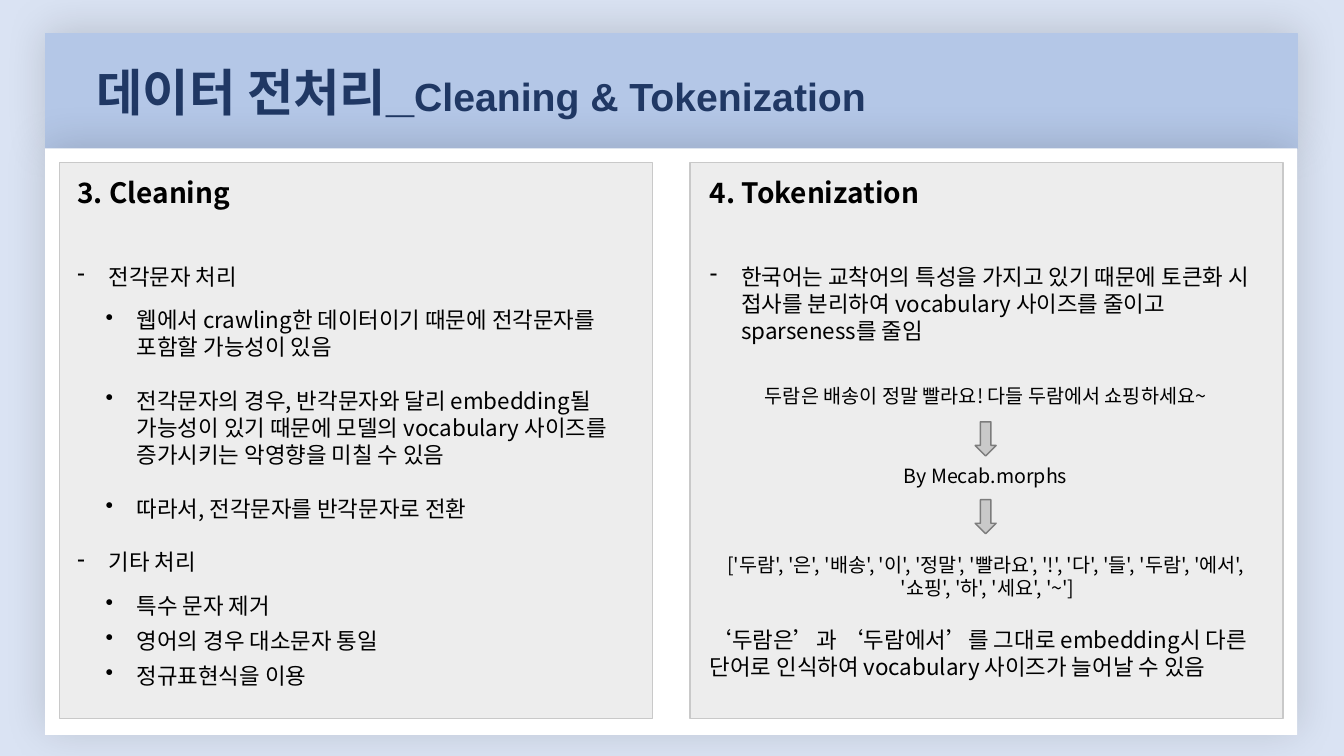
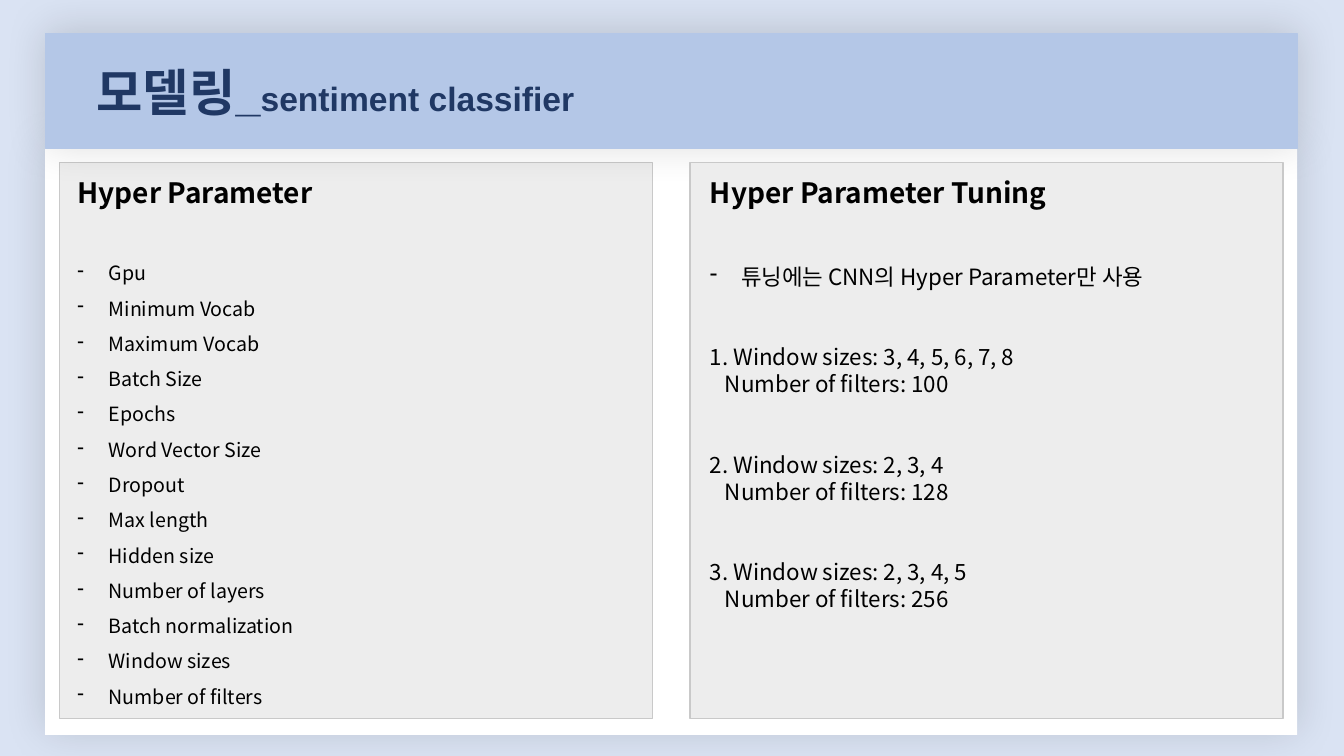
from collections import namedtuple

from lxml import etree
from pptx import Presentation
from pptx.dml.color import RGBColor
from pptx.enum import shapes, text
from pptx.oxml import ns
from pptx.util import Cm, Pt

COLORS = {
    "background": "DAE3F3",
    "band": "B4C7E7",
    "card": "FFFFFF",
    "panel": "EDEDED",
    "panel_line": "C9C9C9",
    "arrow": "C9C9C9",
    "arrow_line": "7C7C7C",
    "title": "203864",
    "body": "000000",
}
BODY_FONT = "Noto Sans CJK KR"
TITLE_FONT = "Arial"
LINE_HEIGHT = 1.2  # of the text size
BLANK = 19.2  # height of one 16 pt line, in points

Box = namedtuple("Box", "left top width height")  # centimetres

SLIDE_WIDTH, SLIDE_HEIGHT = 33.87, 19.05
BAND = Box(1.14, 0.84, 31.55, 2.9)
CARD = Box(BAND.left, BAND.top + BAND.height, BAND.width, 14.78)
PANEL_PAD, PANEL_WIDTH, PANEL_HEIGHT = 0.36, 14.94, 14
LEFT_PANEL = Box(CARD.left + PANEL_PAD, CARD.top + PANEL_PAD,
                 PANEL_WIDTH, PANEL_HEIGHT)
RIGHT_PANEL = LEFT_PANEL._replace(
    left=CARD.left + CARD.width - PANEL_PAD - PANEL_WIDTH)
TEXT_WIDTH = 14.4

DASH = dict(bullet="-", indent=0.79, hanging=0.79)
DOT = dict(bullet="•", indent=1.5, hanging=0.79)


def color(name):
    return RGBColor.from_string(COLORS[name])


def place(shape, box):
    shape.left, shape.top, shape.width, shape.height = map(Cm, box)


def add_run(paragraph, content, size=16, bold=False, font=BODY_FONT, ink="body"):
    run = paragraph.add_run()
    run.text = content
    run.font.size = Pt(size)
    run.font.bold = bold
    run.font.name = font
    run.font.color.rgb = color(ink)
    east_asian = etree.Element(ns.qn("a:ea"), typeface=BODY_FONT)
    run.font._element.find(ns.qn("a:latin")).addnext(east_asian)


def add_line(frame, content, size=16, spacing=1, before=0, align=None,
             bullet=None, indent=0, hanging=0, **run_format):
    """Add one paragraph; indents in cm, space before in points."""
    paragraph = frame.paragraphs[0]
    if paragraph.runs:
        paragraph = frame.add_paragraph()
    paragraph.alignment = align
    paragraph.line_spacing = Pt(size * LINE_HEIGHT * spacing)
    paragraph.space_before = Pt(before)
    properties = paragraph._p.get_or_add_pPr()
    properties.set("marL", str(Cm(indent)))
    properties.set("indent", str(-Cm(hanging)))
    if bullet:
        etree.SubElement(properties, ns.qn("a:buChar"), char=bullet)
    add_run(paragraph, content, size=size, **run_format)


def add_frame(slide, box):
    frame = slide.shapes.add_textbox(*map(Cm, box)).text_frame
    frame.word_wrap = True
    return frame


def add_block(slide, box, fill, line=None, kind="RECTANGLE", shadow=False):
    block = slide.shapes.add_shape(
        getattr(shapes.MSO_SHAPE, kind), *map(Cm, box))
    block.shadow.inherit = False
    block.fill.solid()
    block.fill.fore_color.rgb = color(fill)
    if line:
        block.line.color.rgb = color(line)
        block.line.width = Pt(1)
    else:
        block.line.fill.background()
    if shadow:
        effects = block._element.spPr.find(ns.qn("a:effectLst"))
        outer = etree.SubElement(
            effects, ns.qn("a:outerShdw"), blurRad=str(Pt(30)),
            dist=str(Pt(3)), dir="16200000", rotWithShape="0")
        black = etree.SubElement(outer, ns.qn("a:srgbClr"), val="000000")
        etree.SubElement(black, ns.qn("a:alpha"), val="15000")


def add_card(slide):
    add_block(slide, CARD, "card", shadow=True)


def add_title_band(slide, *parts):
    """Draw the band and lay the title, given as (text, size) parts, on it."""
    add_block(slide, BAND, "band", "band", shadow=True)
    title = slide.shapes.title
    slide.shapes._spTree.append(title._element)
    place(title, Box(BAND.left + 1.04, BAND.top + 0.55, 27.76, 1.8))
    frame = title.text_frame
    frame.auto_size = text.MSO_AUTO_SIZE.NONE
    frame.vertical_anchor = text.MSO_ANCHOR.MIDDLE
    paragraph = frame.paragraphs[0]
    paragraph.alignment = text.PP_ALIGN.LEFT
    for content, size in parts:
        add_run(paragraph, content, size, bold=True, font=TITLE_FONT, ink="title")


def add_panel(slide, box, heading, inset):
    """Draw a panel with its heading and return the text frame."""
    add_block(slide, box, "panel", "panel_line")
    frame = add_frame(slide, Box(box.left + inset, box.top + 0.2, TEXT_WIDTH, 13.3))
    add_line(frame, heading, size=20, bold=True)
    return frame


def add_cleaning(slide, box):
    frame = add_panel(slide, box, "3. Cleaning", 0.2)
    add_line(frame, "전각문자 처리", before=2 * BLANK, **DASH)
    reasons = [
        "웹에서 crawling한 데이터이기 때문에 전각문자를 포함할 가능성이 있음",
        "전각문자의 경우, 반각문자와 달리 embedding될 가능성이 있기 때문에 "
        "모델의 vocabulary 사이즈를 증가시키는 악영향을 미칠 수 있음",
        "따라서, 전각문자를 반각문자로 전환",
    ]
    for number, reason in enumerate(reasons):
        add_line(frame, reason, before=BLANK if number else 12, **DOT)
    add_line(frame, "기타 처리", before=BLANK, **DASH)
    steps = ["특수 문자 제거", "영어의 경우 대소문자 통일", "정규표현식을 이용"]
    for number, step in enumerate(steps):
        add_line(frame, step, spacing=1.3, before=0 if number else 6, **DOT)


def add_tokenization(slide, box):
    inset = 0.25
    frame = add_panel(slide, box, "4. Tokenization", inset)
    add_line(frame, "한국어는 교착어의 특성을 가지고 있기 때문에 토큰화 시 접사를 "
             "분리하여 vocabulary 사이즈를 줄이고 sparseness를 줄임",
             before=2 * BLANK, **DASH)

    tokens = ["두람", "은", "배송", "이", "정말", "빨라요", "!", "다", "들",
              "두람", "에서", "쇼핑", "하", "세요", "~"]
    stages = [
        (5.46, 0.86, "두람은 배송이 정말 빨라요! 다들 두람에서 쇼핑하세요~"),
        (7.47, 0.86, "By Mecab.morphs"),
        (9.7, 1.45, str(tokens)),
    ]
    left = box.left + inset
    for top, height, stage in stages:
        stage_frame = add_frame(slide, Box(left, box.top + top, TEXT_WIDTH, height))
        add_line(stage_frame, stage, size=14, align=text.PP_ALIGN.CENTER)

    arrow_width = 0.53
    for top in (6.53, 8.49):
        arrow = Box(left + (TEXT_WIDTH - arrow_width) / 2, box.top + top,
                    arrow_width, 0.86)
        add_block(slide, arrow, "arrow", "arrow_line", kind="DOWN_ARROW")

    note = add_frame(slide, Box(left, box.top + 11.56, TEXT_WIDTH, 1.63))
    add_line(note, "‘두람은’과 ‘두람에서’를 그대로 embedding시 다른 단어로 "
             "인식하여 vocabulary 사이즈가 늘어날 수 있음")


def add_parameters(slide, box):
    frame = add_panel(slide, box, "Hyper Parameter", 0.2)
    parameters = [
        "Gpu", "Minimum Vocab", "Maximum Vocab", "Batch Size", "Epochs",
        "Word Vector Size", "Dropout", "Max length", "Hidden size",
        "Number of layers", "Batch normalization", "Window sizes",
        "Number of filters",
    ]
    for number, parameter in enumerate(parameters):
        add_line(frame, parameter, size=14, spacing=1.5,
                 before=0 if number else 1.5 * BLANK, **DASH)


def add_tuning(slide, box):
    frame = add_panel(slide, box, "Hyper Parameter Tuning", 0.25)
    add_line(frame, "튜닝에는 CNN의 Hyper Parameter만 사용",
             before=2 * BLANK, **DASH)
    trials = [("3, 4, 5, 6, 7, 8", 100), ("2, 3, 4", 128), ("2, 3, 4, 5", 256)]
    for number, (windows, filters) in enumerate(trials, 1):
        add_line(frame, f"{number}. Window sizes: {windows}", before=2 * BLANK)
        add_line(frame, f"Number of filters: {filters}", indent=0.38)


def add_preprocessing_slide(slide):
    add_title_band(slide, ("데이터 전처리_", 36), ("Cleaning & Tokenization", 28))
    add_card(slide)
    add_cleaning(slide, LEFT_PANEL)
    add_tokenization(slide, RIGHT_PANEL)


def add_modeling_slide(slide):
    add_card(slide)
    add_parameters(slide, LEFT_PANEL)
    add_title_band(slide, ("모델링", 36), ("_", 32), ("sentiment classifier", 24))
    add_tuning(slide, RIGHT_PANEL)


def main():
    deck = Presentation()
    deck.slide_width, deck.slide_height = Cm(SLIDE_WIDTH), Cm(SLIDE_HEIGHT)
    backdrop = deck.slide_master.background.fill
    backdrop.solid()
    backdrop.fore_color.rgb = color("background")
    title_only = deck.slide_layouts[5]
    for build in (add_preprocessing_slide, add_modeling_slide):
        build(deck.slides.add_slide(title_only))
    deck.save("out.pptx")


if __name__ == "__main__":
    main()
